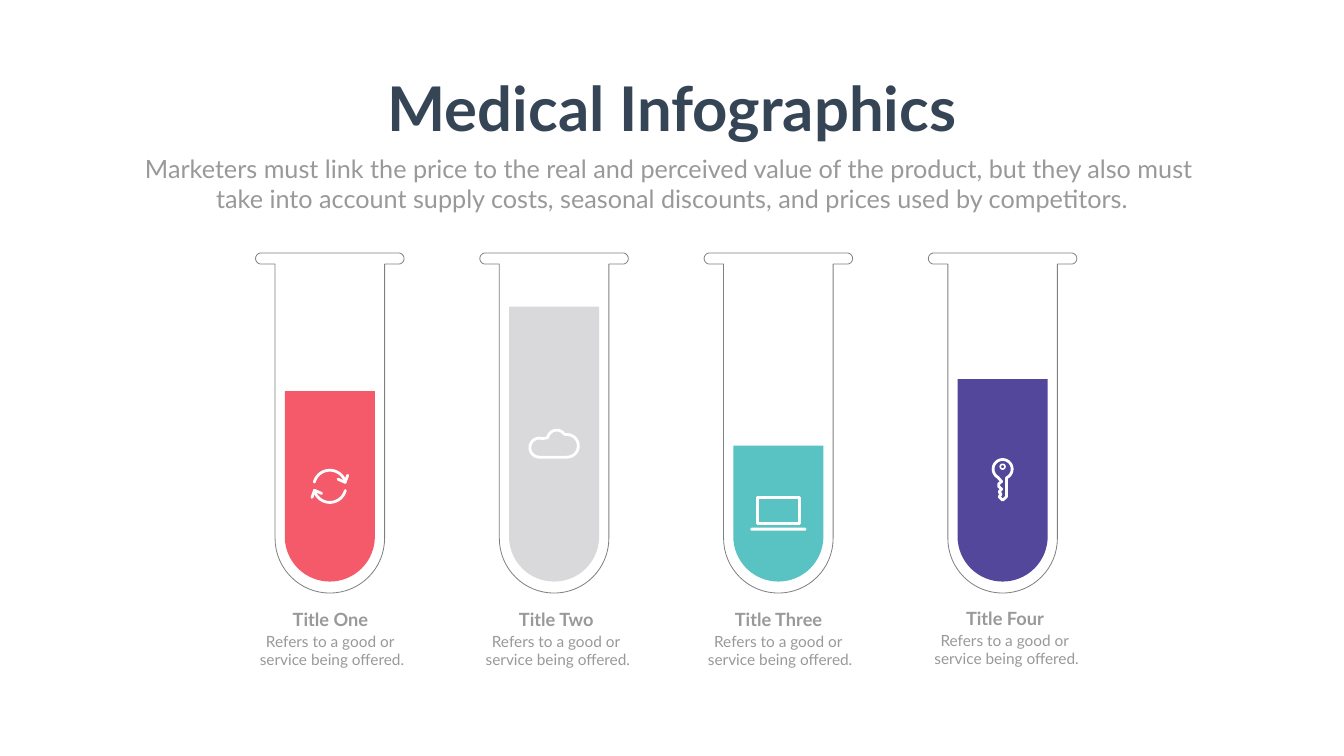
from math import cos, radians, sin

from lxml.etree import SubElement
from pptx import Presentation
from pptx.dml.color import RGBColor
from pptx.enum.shapes import MSO_SHAPE as Kind
from pptx.enum.text import PP_ALIGN as Align
from pptx.oxml.ns import qn
from pptx.util import Cm, Pt

WHITE = RGBColor(0xFF, 0xFF, 0xFF)
GRAY = RGBColor(0x99, 0x99, 0x99)
EDGE = RGBColor(0x80, 0x80, 0x80)
NAVY = RGBColor(0x36, 0x45, 0x56)
RED = RGBColor(0xF4, 0x5A, 0x69)
SILVER = RGBColor(0xD9, 0xD8, 0xDA)
TEAL = RGBColor(0x58, 0xC3, 0xC2)
PURPLE = RGBColor(0x52, 0x47, 0x9B)

HEAD = "Medical Infographics"
INTRO = [
    "Marketers must link the price to the real and perceived value of the product, but they also must ",
    "take into account supply costs, seasonal discounts, and prices used by competitors.",
]
NOTE = ["Refers to a good or ", "service being offered."]
# title, title width, liquid colour, liquid top, icon, icon middle, caption middle, caption top
TUBES = [
    ("Title One", 4.37, RED, 19.71, "cycle", 24.51, 16.73, 30.53),
    ("Title Two", 4.42, SILVER, 15.45, "cloud", 22.36, 28.11, 30.53),
    ("Title Three", 5.02, TEAL, 22.46, "laptop", 25.73, 39.31, 30.53),
    ("Title Four", 4.52, PURPLE, 19.11, "key", 24.19, 50.72, 30.48),
]
FIRST, PITCH = 16.62, 11.3


def arc(x, y, r, start, end, steps=32):
    turns = [radians(start + (end - start) * i / steps) for i in range(steps + 1)]
    return [(x + r * cos(t), y + r * sin(t)) for t in turns]


RIM = 13.03
GLASS = (
    arc(-3.46, RIM, 0.28, 270, 90)
    + [(-2.76, 13.31)]
    + arc(0, 27.13, 2.76, 180, 0)
    + [(2.76, 13.31)]
    + arc(3.46, RIM, 0.28, 90, -90)
)
CLOUD = arc(-0.74, 0.2, 0.48, 90, 290) + arc(0.13, -0.22, 0.46, 190, 325) + arc(0.65, 0.11, 0.57, 265, 450)
KEY = arc(0, -0.55, 0.48, 120, 425) + [
    (0.19, -0.05), (0.19, 0.85), (0, 1.02), (-0.18, 0.85), (-0.08, 0.72), (-0.18, 0.6),
    (-0.05, 0.46), (-0.2, 0.33), (-0.2, 0.2), (-0.05, 0.08),
]
SWEEP = arc(0, 0, 0.81, 195, 345)
BARB = [(0.9, -0.56), (0.77, -0.2), (0.41, -0.36)]

deck = Presentation()
deck.slide_width, deck.slide_height = Cm(67.72), Cm(38.1)
slide = deck.slides.add_slide(deck.slide_layouts[6])
shapes = slide.shapes


def paint(shape, fill=None, line=None, width=4):
    shape.shadow.inherit = False
    if fill is None:
        shape.fill.background()
    else:
        shape.fill.solid()
        shape.fill.fore_color.rgb = fill
    if line is None:
        shape.line.fill.background()
        return
    shape.line.color.rgb = line
    shape.line.width = Pt(width)
    edge = shape._element.spPr.find(qn("a:ln"))
    edge.set("cap", "rnd")
    SubElement(edge, qn("a:round"))


def trace(x, y, *runs, close=True, **look):
    runs = [[(Cm(x + a), Cm(y + b)) for a, b in run] for run in runs]
    pen = shapes.build_freeform(*runs[0][0])
    for i, run in enumerate(runs):
        if i:
            pen.move_to(*run[0])
        pen.add_line_segments(run[1:], close=close)
    paint(pen.convert_to_shape(), **look)


def place(kind, x, y, w, h, **look):
    shape = shapes.add_shape(kind, Cm(x - w / 2), Cm(y - h / 2), Cm(w), Cm(h))
    if kind == Kind.ROUNDED_RECTANGLE:
        shape.adjustments[0] = 0.5
    paint(shape, **look)


def write(lines, x, y, w, h, size=22, color=GRAY, bold=False, wrap=False):
    frame = shapes.add_textbox(Cm(x - w / 2), Cm(y), Cm(w), Cm(h)).text_frame
    frame.word_wrap = wrap
    for i, line in enumerate(lines):
        para = frame.add_paragraph() if i else frame.paragraphs[0]
        para.alignment = Align.CENTER
        run = para.add_run()
        run.text = line
        run.font.name, run.font.size = "Lato", Pt(size)
        run.font.bold, run.font.color.rgb = bold, color


def draw(icon, x, y):
    if icon == "cycle":
        for way in (1, -1):
            runs = [[(way * a, way * b) for a, b in run] for run in (SWEEP, BARB)]
            trace(x, y, *runs, close=False, line=WHITE)
    elif icon == "cloud":
        trace(x, y, CLOUD, line=WHITE)
    elif icon == "laptop":
        place(Kind.RECTANGLE, x, y, 2.14, 1.32, line=WHITE)
        place(Kind.ROUNDED_RECTANGLE, x, y + 0.94, 2.82, 0.15, fill=WHITE)
    else:
        trace(x, y, KEY, line=WHITE)
        place(Kind.OVAL, x, y - 0.67, 0.24, 0.24, line=WHITE, width=2.25)


for i, (title, wide, color, top, icon, mid, spot, base) in enumerate(TUBES):
    x = FIRST + i * PITCH
    trace(x, 0, GLASS, line=EDGE, width=1.16)
    trace(x, 0, [(-2.27, top)] + arc(0, 27.04, 2.27, 180, 0) + [(2.27, top)], fill=color)
    draw(icon, x, mid)
    write(NOTE, spot, base + 1.19, 7.95, 2.13)
    write([title], spot - 0.08, base, wide + 0.1, 1.37, size=26, bold=True)

write(INTRO, 33.86, 7.59, 53.85, 3.33, size=36, wrap=True)
write([HEAD], 33.86, 3.38, 29.74, 4.01, size=88, color=NAVY, bold=True)

deck.save("out.pptx")
